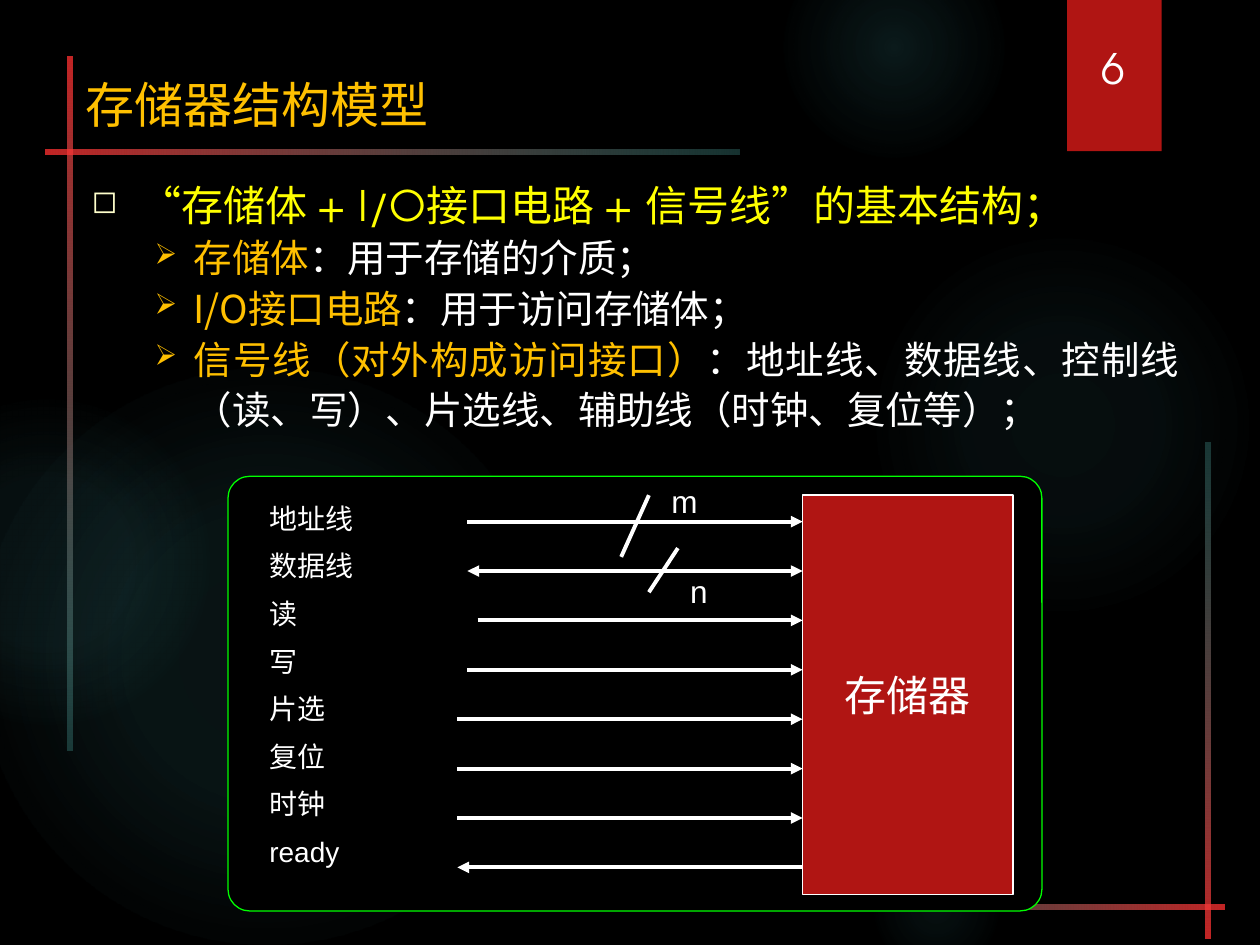
from lxml.etree import SubElement
from pptx import Presentation
from pptx.dml.color import RGBColor
from pptx.enum.shapes import MSO_CONNECTOR, MSO_SHAPE
from pptx.enum.text import MSO_ANCHOR, MSO_AUTO_SIZE, PP_ALIGN
from pptx.oxml.ns import qn
from pptx.util import Emu, Pt

PX = 9144
BLACK = RGBColor(0x00, 0x00, 0x00)
WHITE = RGBColor(0xFF, 0xFF, 0xFF)
RED = RGBColor(0xB0, 0x15, 0x13)
GOLD = RGBColor(0xFF, 0xC0, 0x00)
YELLOW = RGBColor(0xFF, 0xFF, 0x00)
CREAM = RGBColor(0xFF, 0xFF, 0xCC)
GREEN = RGBColor(0x00, 0xFF, 0x00)
TEAL = RGBColor(0x50, 0xB9, 0xC1)
BRIGHT_RED = RGBColor(0xFF, 0x31, 0x31)
PALE_TEAL = RGBColor(0x58, 0xC1, 0xBA)
HEADING, CJK, LABEL = "TeX Gyre Adventor", "Noto Sans CJK SC", "Arial"

GLOWS = [
    ((689, 183, 308, 308), (7, 6), 69),
    ((622, -50, 175, 175), (14, 7), 73),
    ((689, 667, 108, 108), (9, 5), 66),
    ((-17, 292, 458, 458), (11, 10), 75),
    ((-92, 317, 258, 258), (8, 8), 72),
]
BARS = [
    ((-220, 318, 551, 4), 90),
    ((578, 718, 394, 4), 180),
    ((36, 119, 551, 4), 0),
    ((762, 546, 394, 4), 270),
]
POINTS = [
    ("存储体", "：用于存储的介质；"),
    ("I/O接口电路", "：用于访问存储体；"),
    ("信号线（对外构成访问接口）",
     "：地址线、数据线、控制线（读、写）、片选线、辅助线（时钟、复位等）；"),
]
SIGNALS = [
    ("地址线", 190, "in"), ("数据线", 190, "both"), ("读", 198, "in"),
    ("写", 190, "in"), ("片选", 182, "in"), ("复位", 182, "in"),
    ("时钟", 182, "in"), ("ready", 182, "out"),
]


def px(*lengths):
    """Turn px lengths into EMU."""
    return [Emu(round(length * PX)) for length in lengths]


def style(run, size, font, color):
    """Format one run, East Asian glyphs included."""
    run.font.size, run.font.name = Pt(size), font
    run.font.color.rgb = color
    SubElement(run.font._element, qn("a:ea"), typeface=CJK)


def add_block(shapes, kind, box, fill=None, line=None):
    """Add a flat preset shape."""
    block = shapes.add_shape(kind, *px(*box))
    block.shadow.inherit = False
    if fill is not None:
        block.fill.solid()
        block.fill.fore_color.rgb = fill
    if line is None:
        block.line.fill.background()
    else:
        block.line.color.rgb, block.line.width = line, Pt(0.75)
    return block


def add_text(shapes, box, lines, size, font, color):
    """Add a wrapping text box with one paragraph per line."""
    frame = shapes.add_textbox(*px(*box)).text_frame
    frame.word_wrap = True
    frame.text = "\n".join(lines)
    for paragraph in frame.paragraphs:
        for run in paragraph.runs:
            style(run, size, font, color)
    return frame


def set_gradient(shape, stops, radial=False):
    """Fill a shape with a gradient of (position, colour, opacity) stops."""
    shape.fill.gradient()
    gradient = shape._element.spPr.find(qn("a:gradFill"))
    for child in list(gradient):
        gradient.remove(child)
    stop_list = SubElement(gradient, qn("a:gsLst"))
    for position, color, opacity in stops:
        stop = SubElement(stop_list, qn("a:gs"), pos=str(position * 1000))
        tint = SubElement(stop, qn("a:srgbClr"), val=str(color))
        SubElement(tint, qn("a:alpha"), val=str(opacity * 1000))
    if radial:
        focus = SubElement(gradient, qn("a:path"), path="circle")
        SubElement(focus, qn("a:fillToRect"), l="50000", t="50000", r="50000", b="50000")
    else:
        SubElement(gradient, qn("a:lin"), ang="0", scaled="0")


def add_line(shapes, start, end, direction=None):
    """Add a white line with the arrowheads its direction asks for."""
    line = shapes.add_connector(MSO_CONNECTOR.STRAIGHT, *px(*start, *end))
    line.line.color.rgb, line.line.width = WHITE, Pt(2.25)
    outline = line.line._get_or_add_ln()
    if direction in ("out", "both"):
        SubElement(outline, qn("a:headEnd"), type="triangle")
    if direction in ("in", "both"):
        SubElement(outline, qn("a:tailEnd"), type="triangle")
    SubElement(line._element.spPr, qn("a:effectLst"))


def set_bullet(paragraph, char, color, margin, hanging):
    """Give a paragraph a hanging bullet."""
    properties = paragraph._p.get_or_add_pPr()
    properties.set("marL", str(margin * PX))
    properties.set("indent", str(-hanging * PX))
    bullet_color = SubElement(properties, qn("a:buClr"))
    SubElement(bullet_color, qn("a:srgbClr"), val=str(color))
    SubElement(properties, qn("a:buSzPct"), val="75000")
    SubElement(properties, qn("a:buChar"), char=char)


def space_half_line(frame):
    """Put half a line before each paragraph."""
    for paragraph in frame.paragraphs:
        spacing = SubElement(paragraph._p.get_or_add_pPr(), qn("a:spcBef"))
        SubElement(spacing, qn("a:spcPct"), val="50000")


def add_backdrop(slide):
    """Draw the black ground, glows and crossing bars."""
    slide.background.fill.solid()
    slide.background.fill.fore_color.rgb = BLACK
    for box, (center, middle), edge in GLOWS:
        glow = add_block(slide.shapes, MSO_SHAPE.OVAL, box)
        set_gradient(glow, [(0, TEAL, center), (36, TEAL, middle), (edge, TEAL, 0)], True)
    for box, rotation in BARS:
        bar = add_block(slide.shapes, MSO_SHAPE.RECTANGLE, box)
        set_gradient(bar, [(0, BRIGHT_RED, 76), (100, PALE_TEAL, 26)])
        bar.rotation = rotation


def add_page_tab(slide, box):
    """Draw the red tab and its page number."""
    left, top, width, height = box
    add_block(slide.shapes, MSO_SHAPE.RECTANGLE, box, RED)
    number = add_text(slide.shapes, (left + 2, top + 32, width - 6, 47), ["6"], 24, HEADING, WHITE)
    number.vertical_anchor = MSO_ANCHOR.BOTTOM
    number.paragraphs[0].alignment = PP_ALIGN.CENTER


def add_title(slide, box):
    """Place and format the title placeholder."""
    title = slide.shapes.title
    title.left, title.top, title.width, title.height = px(*box)
    frame = title.text_frame
    frame.text = "存储器结构模型"
    frame.vertical_anchor, frame.auto_size = MSO_ANCHOR.TOP, MSO_AUTO_SIZE.NONE
    frame.paragraphs[0].alignment = PP_ALIGN.LEFT
    style(frame.paragraphs[0].runs[0], 28, HEADING, GOLD)


def add_outline(slide, box):
    """Write the main statement and its three points."""
    statement = "“存储体 + I/O接口电路 + 信号线”的基本结构；"
    frame = add_text(slide.shapes, box, [statement], 24, HEADING, YELLOW)
    for term, meaning in POINTS:
        point = frame.add_paragraph()
        point.level = 1
        point.text = term
        style(point.runs[0], 22, CJK, GOLD)
        explanation = point.add_run()
        explanation.text = meaning
        style(explanation, 22, HEADING, WHITE)
    for paragraph in frame.paragraphs:
        paragraph.alignment, paragraph.line_spacing = PP_ALIGN.JUSTIFY, Pt(29)
        bullet = ("➢", GOLD, 81, 31) if paragraph.level else ("◻", CREAM, 38, 38)
        set_bullet(paragraph, *bullet)


def add_memory_diagram(slide, box):
    """Draw the memory block with its signal lines."""
    left, top, width, height = box
    shapes = slide.shapes.add_group_shape().shapes
    panel = add_block(shapes, MSO_SHAPE.ROUNDED_RECTANGLE, box, BLACK, GREEN)
    panel.adjustments[0] = 0.05
    memory_left = left + 456
    memory = add_block(shapes, MSO_SHAPE.RECTANGLE, (memory_left, top + 15, 167, 317), RED, WHITE)
    frame = memory.text_frame
    frame.text, frame.word_wrap = "存储器", False
    frame.vertical_anchor = MSO_ANCHOR.MIDDLE
    frame.paragraphs[0].alignment = PP_ALIGN.CENTER
    style(frame.paragraphs[0].runs[0], 24, LABEL, WHITE)
    for row, (_, start, direction) in enumerate(SIGNALS):
        y = top + 36 + row * 39.2
        add_line(shapes, (left + start, y), (memory_left, y), direction)
    add_line(shapes, (left + 334, top + 15), (left + 312, top + 64))
    add_line(shapes, (left + 357, top + 57), (left + 334, top + 92))
    names = [name for name, _, _ in SIGNALS]
    space_half_line(add_text(shapes, (left + 23, top + 15, 152, 279), names, 16, LABEL, WHITE))
    for bus_width, x, y in (("m", 342, 0), ("n", 357, 71)):
        place = (left + x, top + y, 53, 34)
        space_half_line(add_text(shapes, place, [bus_width], 18, LABEL, WHITE))


def main():
    """Build and save the slide."""
    deck = Presentation()
    deck.slide_width, deck.slide_height = px(1000, 750)
    slide = deck.slides.add_slide(deck.slide_layouts[5])
    add_backdrop(slide)
    add_page_tab(slide, (847, 0, 75, 120))
    add_title(slide, (58, 54, 772, 59))
    add_outline(slide, (63, 137, 883, 228))
    add_memory_diagram(slide, (181, 378, 646, 345))
    deck.save("out.pptx")


if __name__ == "__main__":
    main()
